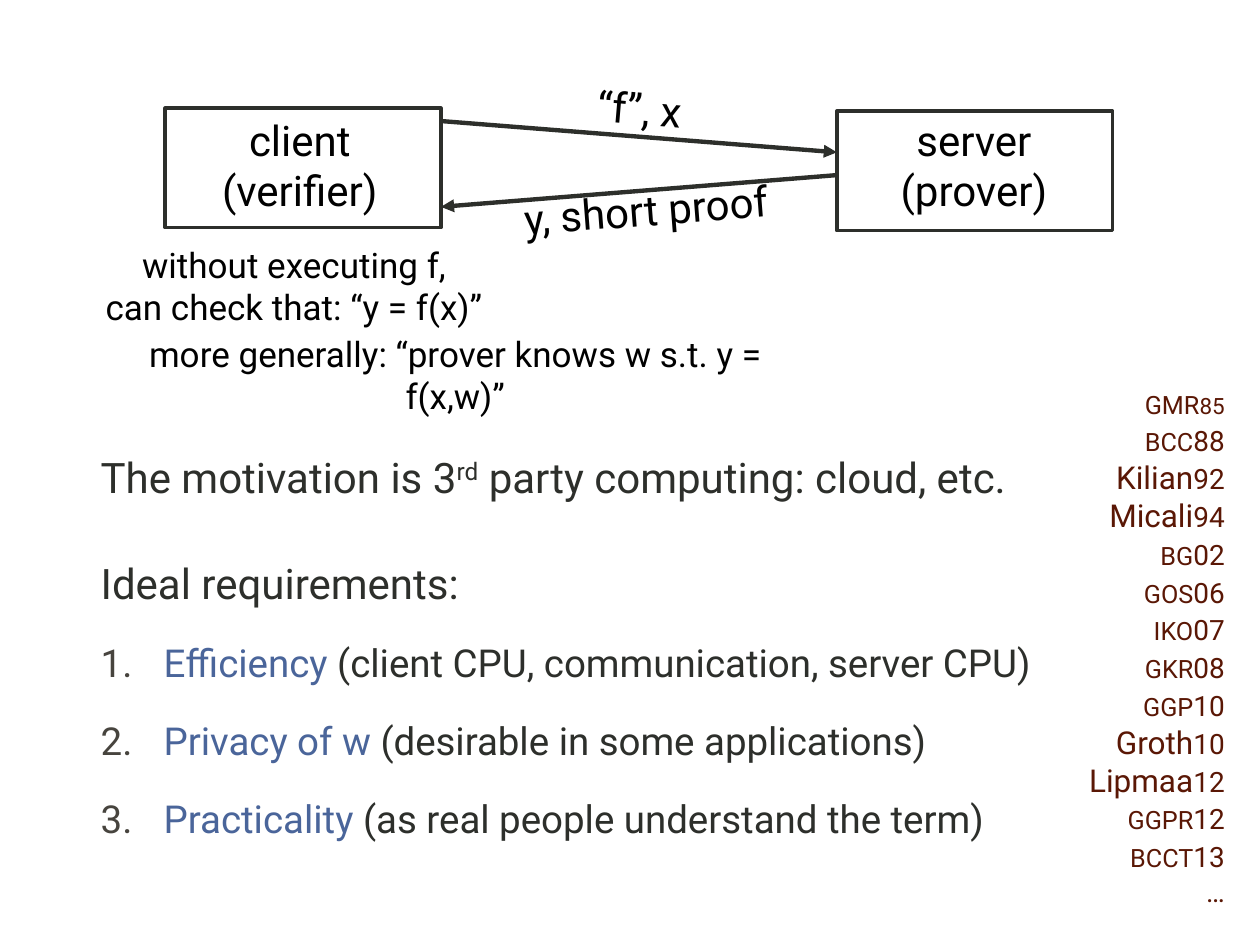
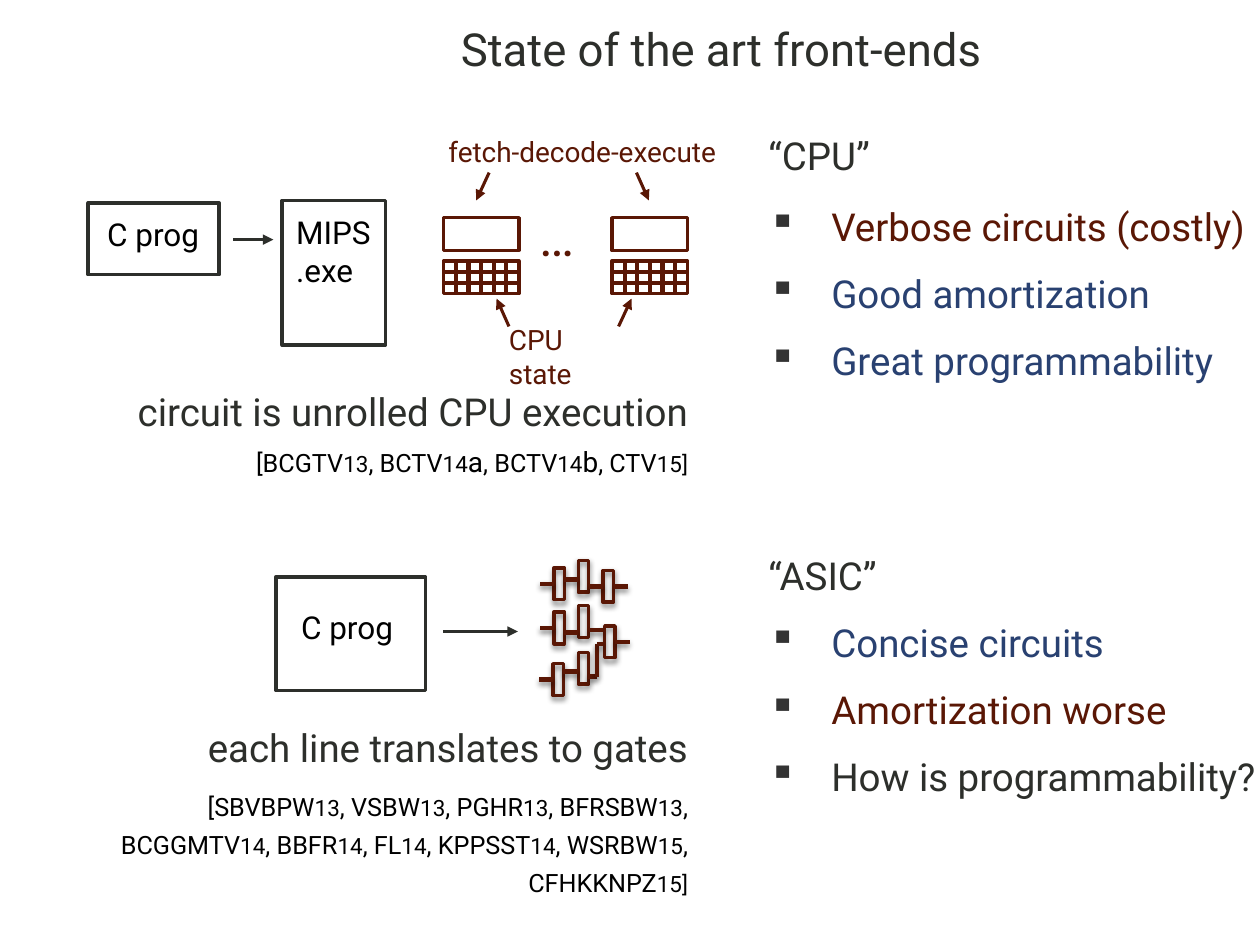
from dataclasses import dataclass

from lxml import etree
from pptx import Presentation
from pptx.dml.color import RGBColor
from pptx.enum.shapes import MSO_CONNECTOR, MSO_SHAPE
from pptx.enum.text import PP_ALIGN
from pptx.oxml.ns import qn
from pptx.util import Cm, Pt

LEFT, CENTER, RIGHT = PP_ALIGN.LEFT, PP_ALIGN.CENTER, PP_ALIGN.RIGHT
STRAIGHT, RECTANGLE = MSO_CONNECTOR.STRAIGHT, MSO_SHAPE.RECTANGLE
LEFT_SIDE, RIGHT_SIDE = 1, 3


@dataclass(frozen=True)
class Theme:
    font: str = "Roboto"
    ink: str = "2D2F2B"
    black: str = "000000"
    maroon: str = "5A1705"
    blue: str = "4A659A"
    navy: str = "294171"
    number: str = "47443E"
    bullet: str = "333333"
    title: int = 26
    lead: int = 24
    body: int = 22
    note: int = 20
    label: int = 18
    minor: int = 16
    dots: int = 30
    outline: float = 2
    wire: float = 2.5
    pointer: float = 1.75


THEME = Theme()


@dataclass(frozen=True)
class Box:
    """A region in centimetres."""
    left: float
    top: float
    width: float
    height: float

    def inner(self, x, y, width, height):
        return Box(self.left + x, self.top + y, width, height)

    def point(self, x, y):
        return self.left + x, self.top + y

    def lengths(self):
        return Cm(self.left), Cm(self.top), Cm(self.width), Cm(self.height)


@dataclass(frozen=True)
class Run:
    text: str
    size: float
    color: str = THEME.black
    small_caps: bool = False
    raised: bool = False


# Shared drawing helpers

def add_bullet(paragraph, mark, color):
    """Give a hanging bullet; the mark "1." starts automatic numbering."""
    properties = paragraph._p.get_or_add_pPr()
    properties.set("marL", str(Cm(1.27)))
    properties.set("indent", str(-Cm(1.27)))
    bullet_color = etree.SubElement(properties, qn("a:buClr"))
    etree.SubElement(bullet_color, qn("a:srgbClr"), val=color)
    if mark == "1.":
        etree.SubElement(properties, qn("a:buAutoNum"), type="arabicPeriod")
    else:
        etree.SubElement(properties, qn("a:buChar"), char=mark)


def add_runs(paragraph, runs):
    for item in runs:
        run = paragraph.add_run()
        run.text = item.text
        run.font.name = THEME.font
        run.font.size = Pt(item.size)
        run.font.color.rgb = RGBColor.from_string(item.color)
        properties = run._r.get_or_add_rPr()
        if item.small_caps:
            properties.set("cap", "small")
        if item.raised:
            properties.set("baseline", "30000")


def add_text(slide, box, paragraphs, align=LEFT, rotation=0):
    """Each paragraph is a list of runs."""
    shape = slide.shapes.add_textbox(*box.lengths())
    shape.rotation = rotation
    frame = shape.text_frame
    frame.word_wrap = True
    for index, runs in enumerate(paragraphs):
        paragraph = frame.add_paragraph() if index else frame.paragraphs[0]
        paragraph.alignment = align
        add_runs(paragraph, runs)
    return frame


def add_shadow(effects):
    shadow = etree.SubElement(effects, qn("a:outerShdw"), blurRad=str(Pt(3)),
                              dist=str(Pt(2)), dir="5400000", rotWithShape="0")
    color = etree.SubElement(shadow, qn("a:srgbClr"), val=THEME.black)
    etree.SubElement(color, qn("a:alpha"), val="45000")


def add_outline(shapes, box, color=THEME.ink, shadow=False):
    shape = shapes.add_shape(RECTANGLE, *box.lengths())
    shape.shadow.inherit = False
    shape.fill.background()
    shape.line.color.rgb = RGBColor.from_string(color)
    shape.line.width = Pt(THEME.outline)
    if shadow:
        add_shadow(shape._element.spPr.find(qn("a:effectLst")))
    return shape


def add_line(shapes, start, end, color, width, arrow=False, shadow=False):
    connector = shapes.add_connector(STRAIGHT, *map(Cm, start + end))
    connector.line.color.rgb = RGBColor.from_string(color)
    connector.line.width = Pt(width)
    properties = connector._element.spPr
    if arrow:
        etree.SubElement(properties.find(qn("a:ln")), qn("a:tailEnd"), type="triangle")
    effects = etree.SubElement(properties, qn("a:effectLst"))
    if shadow:
        add_shadow(effects)
    return connector


# Slide 1 regions

def protocol_diagram(slide, box):
    def label(area, lines, size=THEME.lead, rotation=0):
        add_text(slide, area, [[Run(line, size)] for line in lines], CENTER, rotation)

    # Client and server
    add_outline(slide.shapes, box.inner(1.63, 0.63, 5.56, 2.41))
    add_outline(slide.shapes, box.inner(15.17, 0.69, 5.56, 2.41))
    label(box.inner(2.39, 0.63, 3.91, 2.31), ["client (verifier)"])
    label(box.inner(15.19, 0.63, 5.49, 2.31), ["server (prover)"])

    # Request and reply
    for start, end in [((7.19, 0.89), (15.17, 1.52)), ((15.17, 1.98), (7.19, 2.62))]:
        add_line(slide.shapes, box.point(*start), box.point(*end),
                 THEME.ink, THEME.wire, arrow=True)
    label(box.inner(8.49, 0, 5.41, 1.27), ["“f”, x"], rotation=4.9)
    label(box.inner(8.03, 2.03, 6.58, 1.27), ["y, short proof"], rotation=-4.5)

    # What the client can check
    label(box.inner(0, 3.23, 8.46, 1.96),
          ["without executing f,", "can check that: “y = f(x)”"], THEME.note)
    label(box.inner(0, 5.03, 14.96, 1.12),
          ["more generally: “prover knows w s.t. y = f(x,w)”"], THEME.note)


def requirement_list(slide, box, requirements):
    paragraphs = [
        [Run("The motivation is 3", THEME.lead, THEME.ink),
         Run("rd", THEME.lead, THEME.ink, raised=True),
         Run(" party computing: cloud, etc.", THEME.lead, THEME.ink)],
        [Run("Ideal requirements:", THEME.lead, THEME.ink)],
    ]
    paragraphs += [[Run(name + " ", THEME.body, THEME.blue),
                    Run(detail, THEME.body, THEME.ink)] for name, detail in requirements]
    _, ideal, *numbered = add_text(slide, box, paragraphs).paragraphs
    ideal.space_before = Pt(32)
    for paragraph in numbered:
        add_bullet(paragraph, "1.", THEME.number)
        paragraph.space_before = Pt(18)


def reference_column(slide, box, references):
    paragraphs = [[Run(name, THEME.label, THEME.maroon, small_caps=name.islower()),
                   Run(year, THEME.minor, THEME.maroon, small_caps=index == 0)]
                  for index, (name, year) in enumerate(references)]
    paragraphs.append([Run("…", THEME.minor, THEME.maroon)])
    add_text(slide, box, paragraphs, RIGHT)


# Slide 2 regions

def verdict_column(slide, box, heading, bullet_top, verdicts):
    add_text(slide, box.inner(0, 0, 9.37, bullet_top),
             [[Run(heading, THEME.body, THEME.ink)]])
    frame = add_text(slide, box.inner(0, bullet_top, box.width, box.height - bullet_top),
                     [[Run(text, THEME.body, color)] for text, color in verdicts])
    for index, paragraph in enumerate(frame.paragraphs):
        add_bullet(paragraph, "▪", THEME.bullet)
        if index:
            paragraph.space_before = Pt(12)


def caption_with_references(slide, box, caption, reference_top, references):
    add_text(slide, box.inner(0, 0, box.width, reference_top),
             [[Run(caption, THEME.body, THEME.ink)]], RIGHT)
    runs = []
    for index, (name, year, suffix) in enumerate(references):
        runs.append(Run((", " if index else "[") + name, THEME.label, small_caps=True))
        runs.append(Run(year, THEME.minor, small_caps=True))
        if suffix:
            runs.append(Run(suffix, THEME.minor))
    runs.append(Run("]", THEME.minor, small_caps=True))
    add_text(slide, box.inner(0, reference_top, box.width, box.height - reference_top),
             [runs], RIGHT)


def state_grid(slide, box, columns=6, rows=3):
    shapes = slide.shapes.add_group_shape().shapes
    add_outline(shapes, box, THEME.maroon)
    for column in range(1, columns):
        x = box.width * column / columns
        add_line(shapes, box.point(x, 0), box.point(x, box.height), THEME.maroon, THEME.wire)
    for row in range(1, rows):
        y = box.height * row / rows
        add_line(shapes, box.point(0, y), box.point(box.width, y), THEME.maroon, THEME.wire)


def cpu_pipeline(slide, box):
    # Program compiled to an executable
    add_outline(slide.shapes, box.inner(0, 1.5, 2.64, 1.45))
    add_text(slide, box.inner(0.13, 1.63, 2.62, 1.02), [[Run("C prog", THEME.label)]])
    add_line(slide.shapes, box.point(2.92, 2.24), box.point(3.73, 2.24),
             THEME.ink, THEME.pointer, arrow=True)
    add_outline(slide.shapes, box.inner(3.91, 1.45, 2.08, 2.92))
    add_text(slide, box.inner(3.94, 1.58, 3.3, 1.8),
             [[Run("MIPS", THEME.label)], [Run(".exe", THEME.label)]])

    # Labels of the unrolled stages
    for area, text, size in [
        (box.inner(7.01, 0, 7.01, 1.63), "fetch-decode-execute", THEME.minor),
        (box.inner(8.84, 1.4, 1.52, 1.55), "…", THEME.dots),
        (box.inner(8.23, 3.79, 2.95, 0.94), "CPU state", THEME.minor),
    ]:
        add_text(slide, area, [[Run(text, size, THEME.maroon)]])

    # Stages: left edge, then x at both ends of the upper and lower pointers
    for left, upper, lower in [(7.16, (0.92, 0.66), (1.32, 1.07)),
                               (10.56, (0.49, 0.74), (0.13, 0.39))]:
        add_outline(slide.shapes, box.inner(left, 1.8, 1.52, 0.66), THEME.maroon)
        state_grid(slide, box.inner(left, 2.67, 1.52, 0.66))
        for (start, end), (start_y, end_y) in [(upper, (0.89, 1.45)), (lower, (3.99, 3.43))]:
            add_line(slide.shapes, box.point(left + start, start_y),
                     box.point(left + end, end_y), THEME.maroon, THEME.pointer, arrow=True)


def gate_circuit(slide, box):
    # Program translated line by line
    add_outline(slide.shapes, box.inner(0, 0.33, 3.02, 2.29))
    add_text(slide, box.inner(0.26, 0.84, 2.62, 1.02), [[Run("C prog", THEME.label)]])
    add_line(slide.shapes, box.point(3.38, 1.43), box.point(4.88, 1.43),
             THEME.ink, THEME.pointer, arrow=True)

    # Gates, with leads joined to the middle of their sides
    shapes = slide.shapes.add_group_shape().shapes
    gate_width, gate_height, lead_length = 0.21, 0.64, 0.29
    for x, y, sides in [
        (5.61, 0.15, [LEFT_SIDE]), (5.61, 1.04, [LEFT_SIDE]), (5.59, 2.08, [LEFT_SIDE]),
        (6.1, 0, []), (6.1, 0.91, []), (6.1, 1.85, []),
        (6.6, 0.2, [LEFT_SIDE, RIGHT_SIDE]), (6.63, 1.32, [RIGHT_SIDE]),
    ]:
        gate = add_outline(shapes, box.inner(x, y, gate_width, gate_height),
                           THEME.maroon, shadow=True)
        for side in sides:
            near, far = ((x, x - lead_length) if side == LEFT_SIDE
                         else (x + gate_width, x + gate_width + lead_length))
            middle = y + gate_height / 2
            lead = add_line(shapes, box.point(near, middle), box.point(far, middle),
                            THEME.maroon, THEME.wire, shadow=True)
            lead.begin_connect(gate, side)

    # Wires between gates
    for start, end in [
        ((5.82, 0.38), (6.1, 0.38)), ((5.82, 1.45), (6.1, 1.45)),
        ((5.79, 2.24), (6.1, 2.24)), ((6.32, 1.4), (6.6, 1.4)),
        ((6.3, 2.34), (6.48, 2.34)), ((6.48, 2.34), (6.48, 1.68)),
        ((6.48, 1.68), (6.6, 1.68)),
    ]:
        add_line(shapes, box.point(*start), box.point(*end),
                 THEME.maroon, THEME.wire, shadow=True)


# Slides

def build_motivation(slide):
    requirement_list(slide, Box(1.78, 8.97, 22.56, 10.06), [
        ("Efficiency", "(client CPU, communication, server CPU)"),
        ("Privacy of w", "(desirable in some applications)"),
        ("Practicality", "(as real people understand the term)")])
    protocol_diagram(slide, Box(1.7, 1.55, 20.73, 6.15))
    reference_column(slide, Box(20.55, 7.59, 4.39, 10.44), [
        ("gmr", "85"), ("bcc", "88"), ("Kilian", "92"), ("Micali", "94"), ("bg", "02"),
        ("gos", "06"), ("iko", "07"), ("gkr", "08"), ("ggp", "10"), ("Groth", "10"),
        ("Lipmaa", "12"), ("ggpr", "12"), ("bcct", "13")])


def build_front_ends(slide):
    add_text(slide, Box(9.04, 0.3, 11.76, 1.91),
             [[Run("State of the art front-ends", THEME.title, THEME.ink)]])
    cpu_pipeline(slide, Box(1.78, 2.59, 14.02, 4.72))
    caption_with_references(
        slide, Box(1.37, 7.7, 12.75, 2.08), "circuit is unrolled CPU execution", 1.07,
        [("bcgtv", "13", ""), ("bctv", "14", "a"), ("bctv", "14", "b"), ("ctv", "15", "")])
    verdict_column(slide, Box(15.24, 2.54, 10.72, 5.97), "“CPU”", 1.42, [
        ("Verbose circuits (costly)", THEME.maroon), ("Good amortization", THEME.navy),
        ("Great programmability", THEME.navy)])
    gate_circuit(slide, Box(5.56, 11.3, 7.11, 2.72))
    caption_with_references(
        slide, Box(1.37, 14.48, 12.75, 3.79), "each line translates to gates", 1.22,
        [("sbvbpw", "13", ""), ("vsbw", "13", ""), ("pghr", "13", ""), ("bfrsbw", "13", ""),
         ("bcggmtv", "14", ""), ("bbfr", "14", ""), ("fl", "14", ""), ("kppsst", "14", ""),
         ("wsrbw", "15", ""), ("cfhkknpz", "15", "")])
    verdict_column(slide, Box(15.24, 11, 10.62, 6.05), "“ASIC”", 1.35, [
        ("Concise circuits", THEME.navy), ("Amortization worse", THEME.maroon),
        ("How is programmability?", THEME.ink)])


def main():
    presentation = Presentation()
    presentation.slide_width, presentation.slide_height = Cm(25.4), Cm(19.05)
    blank = presentation.slide_layouts[6]
    for build in (build_motivation, build_front_ends):
        build(presentation.slides.add_slide(blank))
    presentation.save("out.pptx")


if __name__ == "__main__":
    main()
